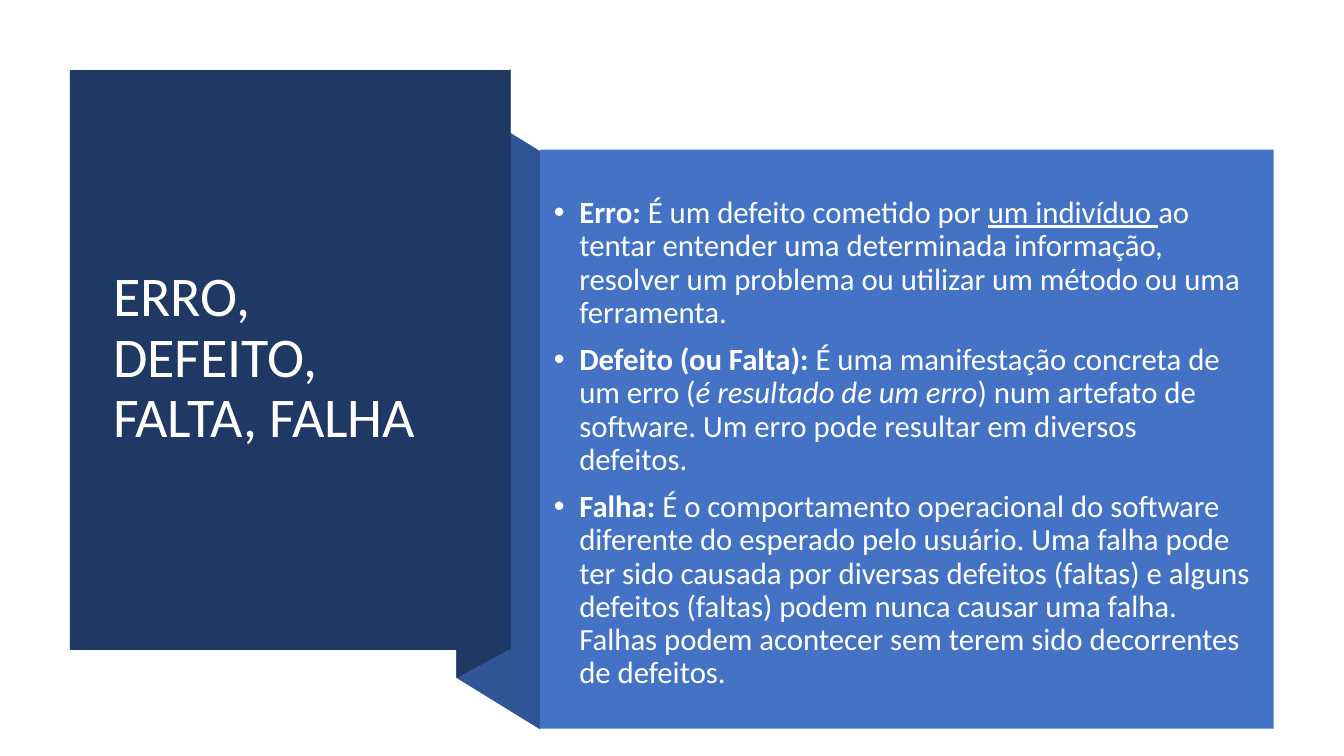
from lxml.etree import SubElement
from pptx import Presentation
from pptx.dml.color import RGBColor
from pptx.enum.shapes import MSO_SHAPE as Shape
from pptx.enum.text import MSO_ANCHOR as Anchor, PP_ALIGN as Align
from pptx.oxml.ns import qn
from pptx.util import Cm, Pt

COLORS = {
    "navy": "203864",
    "fold": "2F5597",
    "panel": "4472C4",
    "title": "FFFFFF",
    "body": "FEFFFF",
}

TITLE = "ERRO, DEFEITO, FALTA, FALHA"
DEFINITIONS = [
    [
        ("Erro: ", {"bold": True}),
        ("É um defeito cometido por ", {}),
        ("um indivíduo ", {"underline": True}),
        ("ao tentar entender uma determinada informação, resolver um problema "
         "ou utilizar um método ou uma ferramenta.", {}),
    ],
    [
        ("Defeito (ou Falta): ", {"bold": True}),
        ("É uma manifestação concreta de um erro (", {}),
        ("é resultado de um erro", {"italic": True}),
        (") num artefato de software. Um erro pode resultar em diversos defeitos.", {}),
    ],
    [
        ("Falha: ", {"bold": True}),
        ("É o comportamento operacional do software diferente do esperado pelo "
         "usuário. Uma falha pode ter sido causada por diversas defeitos (faltas) "
         "e alguns defeitos (faltas) podem nunca causar uma falha. Falhas podem "
         "acontecer sem terem sido decorrentes de defeitos.", {}),
    ],
]


def paint(shape, color):
    shape.shadow.inherit = False
    shape.fill.solid()
    shape.fill.fore_color.rgb = RGBColor.from_string(COLORS[color])
    shape.line.fill.background()


def add_rectangle(page, box, color):
    paint(page.shapes.add_shape(Shape.RECTANGLE, *map(Cm, box)), color)


def add_slanted_strip(page, box, slant, color):
    left, top, width, height = box
    right, bottom = left + width, top + height
    rise, drop = max(slant, 0), max(-slant, 0)
    corners = [(left, top + rise), (right, top + drop),
               (right, bottom - rise), (left, bottom - drop)]
    points = [(Cm(x), Cm(y)) for x, y in corners]
    builder = page.shapes.build_freeform(*points[0], scale=1.0)
    builder.add_line_segments(points[1:], close=True)
    paint(builder.convert_to_shape(), color)


def add_text(page, box, paragraphs, size, color, bullet=None, space_before=0, right_inset=0.25):
    frame = page.shapes.add_textbox(*map(Cm, box)).text_frame
    frame.word_wrap = True
    frame.vertical_anchor = Anchor.MIDDLE
    frame.margin_left, frame.margin_right = Cm(0.25), Cm(right_inset)
    for index, spans in enumerate(paragraphs):
        para = frame.add_paragraph() if index else frame.paragraphs[0]
        para.alignment = Align.LEFT
        para.line_spacing = 0.9
        para.space_before = Pt(space_before)
        if bullet:
            properties = para._p.get_or_add_pPr()
            properties.set("marL", str(Cm(0.64)))
            properties.set("indent", str(-Cm(0.64)))
            SubElement(properties, qn("a:buFont"), typeface="Arial")
            SubElement(properties, qn("a:buChar"), char=bullet)
        for text, style in spans:
            span = para.add_run()
            span.text = text
            span.font.name = "Calibri"
            span.font.size = Pt(size)
            span.font.color.rgb = RGBColor.from_string(COLORS[color])
            for name, value in style.items():
                setattr(span.font, name, value)


def add_title_panel(page, box):
    left, top, width, height = box
    add_rectangle(page, box, "navy")
    add_text(page, (left + 0.84, top + 0.94, width - 1.7, height - 1.92),
             [[(TITLE, {})]], 40, "title", right_inset=0.6)


def add_definitions_panel(page, box):
    left, top, width, height = box
    add_rectangle(page, box, "panel")
    add_text(page, (left + 0.1, top + 0.45, width - 0.41, height - 0.66),
             DEFINITIONS, 22, "body", bullet="•", space_before=10)


def add_ribbon_fold(page, box):
    left, top, width, height = box
    add_slanted_strip(page, box, -1.3, "fold")
    add_slanted_strip(page, (left, top - 0.76, 1.36, height - 0.53), 0.74, "navy")


def main():
    deck = Presentation()
    deck.slide_width, deck.slide_height = Cm(33.87), Cm(19.05)
    page = deck.slides.add_slide(deck.slide_layouts[6])
    add_ribbon_fold(page, (11.5, 2.51, 2.11, 15.87))
    add_title_panel(page, (1.76, 1.77, 11.11, 14.61))
    add_definitions_panel(page, (13.61, 3.77, 18.49, 14.59))
    deck.save("out.pptx")


if __name__ == "__main__":
    main()
